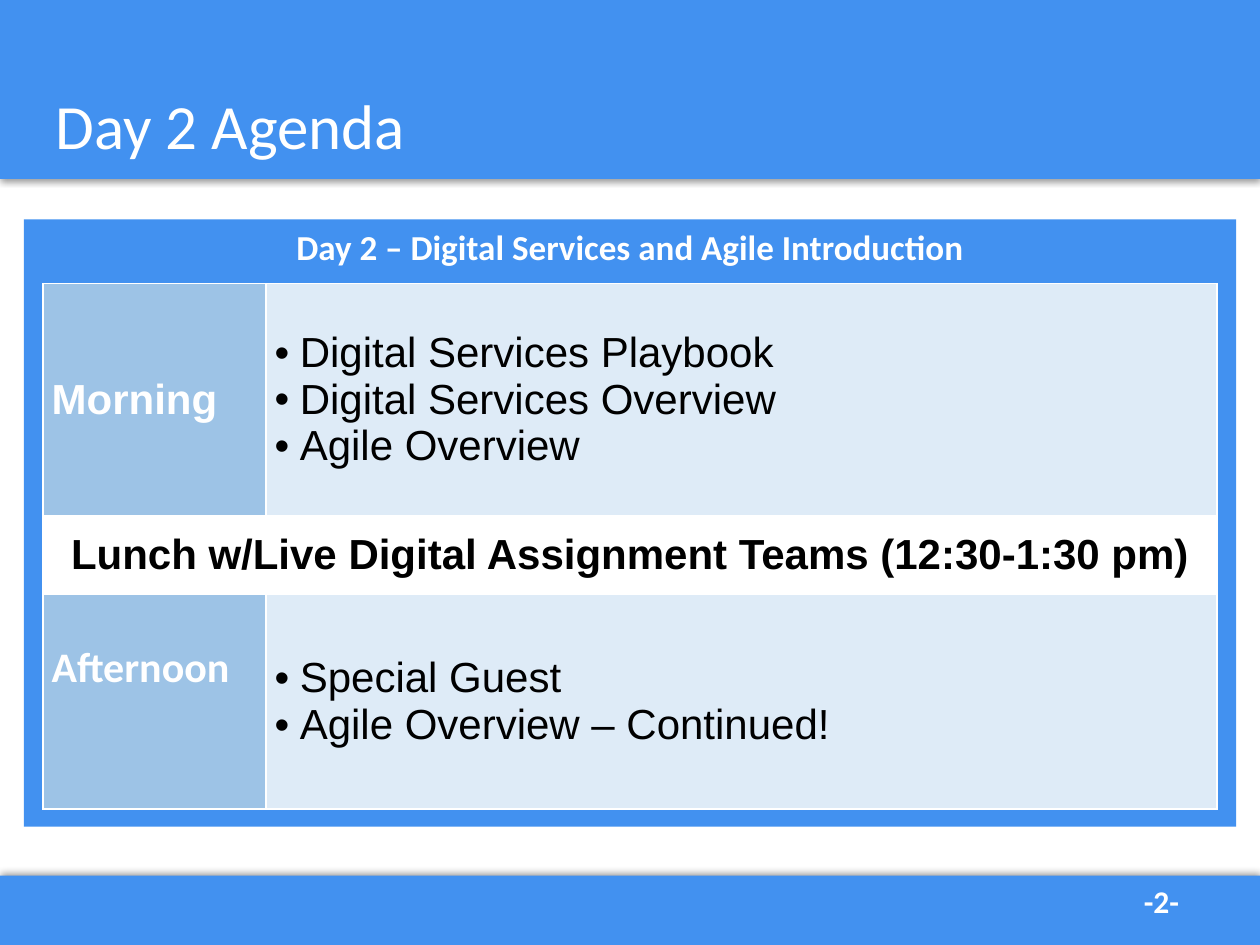
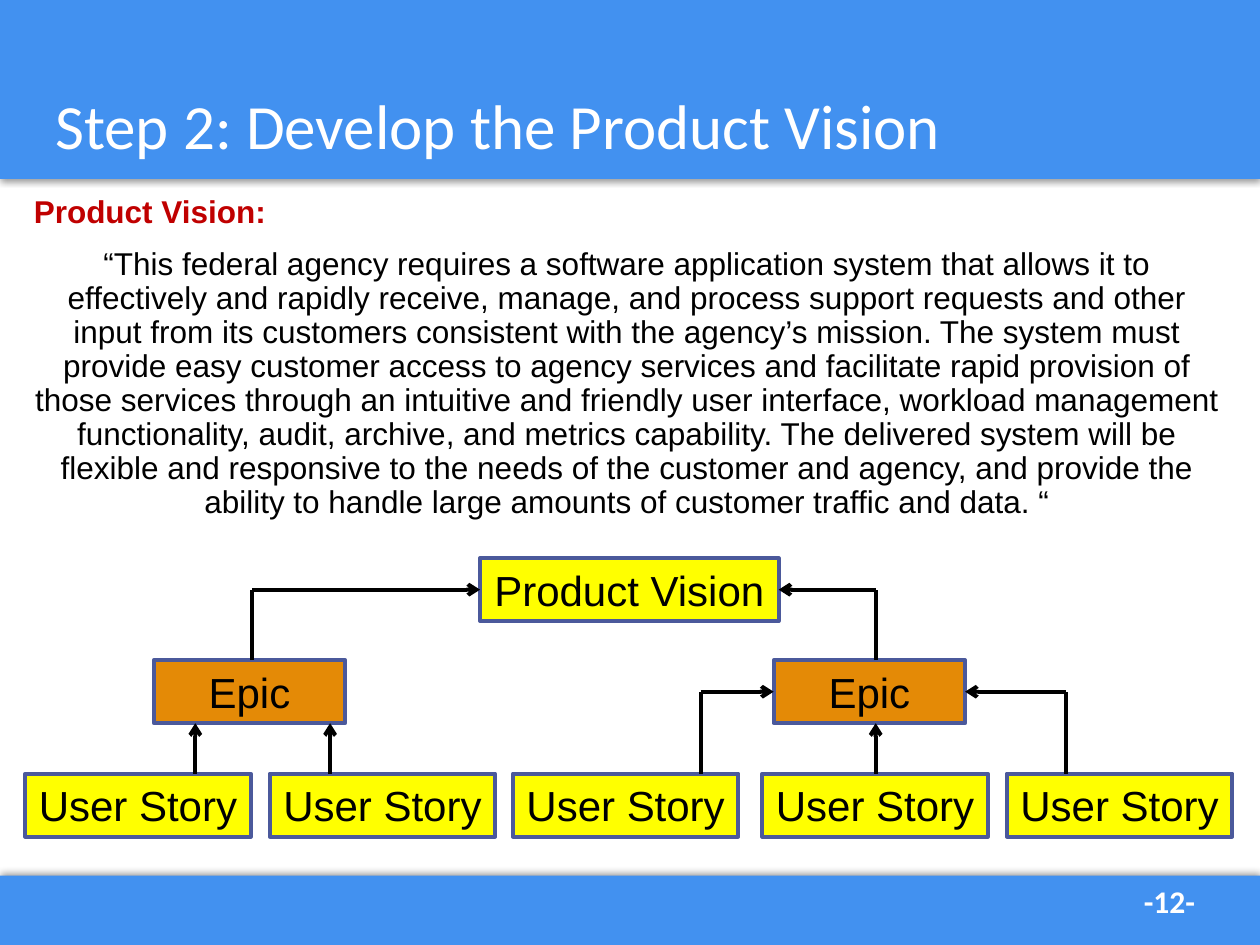
from lxml import etree
from pptx import Presentation
from pptx import util as u
from pptx.dml import color
from pptx.enum import shapes, text
from pptx.oxml import ns

Inches, Pt = u.Inches, u.Pt
ALIGN, ANCHOR, FIT = text.PP_ALIGN, text.MSO_ANCHOR, text.MSO_AUTO_SIZE

BLUE, WHITE, BLACK, RED = "4291F0", "FFFFFF", "000000", "C00000"
LABEL_BLUE, PALE_BLUE = "9DC3E6", "DEEBF7"
YELLOW, ORANGE, OUTLINE = "FFFF00", "E48A06", "4B599B"
HEAD_FONT, BODY_FONT = "Calibri", "Arial"
SLIDE_W, SLIDE_H = 10, 7.5
BOX_H = 0.5

VISION = (
    "“This federal agency requires a software application system that allows it to "
    "effectively and rapidly receive, manage, and process support requests and other "
    "input from its customers consistent with the agency’s mission. The system must "
    "provide easy customer access to agency services and facilitate rapid provision of "
    "those services through an intuitive and friendly user interface, workload management "
    "functionality, audit, archive, and metrics capability. The delivered system will be "
    "flexible and responsive to the needs of the customer and agency, and provide the "
    "ability to handle large amounts of customer traffic and data. “"
)


def rgb(hex_code):
    return color.RGBColor.from_string(hex_code)


def add_xml(parent, tag, **attributes):
    return etree.SubElement(parent, ns.qn(tag), attributes)


def style(paragraph, size, ink, font=BODY_FONT, bold=False, align=ALIGN.LEFT):
    paragraph.alignment = align
    for run in paragraph.runs:
        run.font.size, run.font.name, run.font.bold = Pt(size), font, bold
        run.font.color.rgb = rgb(ink)


def add_rect(slide, box, fill, outline=None):
    rect = slide.shapes.add_shape(shapes.MSO_SHAPE.RECTANGLE, *map(Inches, box))
    rect.shadow.inherit = False
    rect.fill.solid()
    rect.fill.fore_color.rgb = rgb(fill)
    if outline:
        rect.line.color.rgb = rgb(outline)
        rect.line.width = Pt(2.25)
    else:
        rect.line.fill.background()
    return rect


def add_text(slide, box, words, anchor=ANCHOR.TOP):
    frame = slide.shapes.add_textbox(*map(Inches, box)).text_frame
    frame.word_wrap = True
    frame.vertical_anchor = anchor
    frame.text = words
    return frame


def add_band(slide, box, shadow_angle):
    band = add_rect(slide, box, BLUE)
    effects = band._element.spPr.find(ns.qn("a:effectLst"))
    shadow = add_xml(effects, "a:outerShdw", blurRad=str(Pt(4)), dist=str(Pt(1)),
                     dir=str(shadow_angle * 60000), algn="ctr", rotWithShape="0")
    shade = add_xml(shadow, "a:srgbClr", val=BLACK)
    add_xml(shade, "a:alpha", val="40000")


def add_base_slide(deck, title, number):
    """Add a blank slide with the shared bands, title and page number."""
    slide = deck.slides.add_slide(deck.slide_layouts[6])
    add_band(slide, (0, 6.95, SLIDE_W, 0.55), 270)
    add_band(slide, (0, 0, SLIDE_W, 1.42), 90)
    page = add_text(slide, (8.98, 6.95, 0.73, 0.4), f"-{number}-")
    style(page.paragraphs[0], 18, WHITE, HEAD_FONT, bold=True)
    heading = add_text(slide, (0.34, 0.3, 9.31, 1.45), title, ANCHOR.MIDDLE).paragraphs[0]
    style(heading, 36, WHITE, HEAD_FONT)
    heading.line_spacing = 0.9
    return slide


def indent(paragraph, hanging, bullet=None):
    props = paragraph._p.get_or_add_pPr()
    props.set("marL", str(Inches(hanging)))
    props.set("indent", str(-Inches(hanging)))
    if bullet:
        add_xml(props, "a:buFont", typeface=BODY_FONT)
        add_xml(props, "a:buChar", char=bullet)


def fill_cell(cell, words, fill):
    cell.fill.solid()
    cell.fill.fore_color.rgb = rgb(fill)
    cell.vertical_anchor = ANCHOR.MIDDLE
    cell.margin_left = cell.margin_right = Inches(0.07)
    cell.margin_top = cell.margin_bottom = Inches(0.04)
    cell.text_frame.text = words
    return cell.text_frame.paragraphs


def add_borders(cell, ink):
    props = cell._tc.get_or_add_tcPr()
    for position, side in enumerate(("a:lnL", "a:lnR", "a:lnT", "a:lnB")):
        border = add_xml(props, side, w=str(Pt(1)))
        add_xml(add_xml(border, "a:solidFill"), "a:srgbClr", val=ink)
        props.insert(position, border)


def add_session(table, row, label, topics, label_font=BODY_FONT):
    """Fill one table row with a part of the day and its bulleted topics."""
    name_cell, topic_cell = table.cell(row, 0), table.cell(row, 1)
    style(fill_cell(name_cell, label, LABEL_BLUE)[0], 24, WHITE, label_font, bold=True)
    for paragraph in fill_cell(topic_cell, "\n".join(topics), PALE_BLUE):
        style(paragraph, 24, BLACK)
        indent(paragraph, 0.2, "•")


def add_agenda(slide, box):
    left, top, width, height = box
    panel = add_rect(slide, box, BLUE).text_frame
    panel.text = "Day 2 – Digital Services and Agile Introduction"
    panel.vertical_anchor = ANCHOR.TOP
    style(panel.paragraphs[0], 20, WHITE, HEAD_FONT, True, ALIGN.CENTER)

    inset, header = 0.15, 0.51
    columns, rows = (1.77, 7.55), (1.84, 0.63, 1.7)
    table = slide.shapes.add_table(
        len(rows), len(columns), Inches(left + inset), Inches(top + header),
        Inches(width - 2 * inset), Inches(sum(rows))).table
    for column, column_width in zip(table.columns, columns):
        column.width = Inches(column_width)
    for row, row_height in zip(table.rows, rows):
        row.height = Inches(row_height)

    add_session(table, 0, "Morning", (
        "Digital Services Playbook", "Digital Services Overview", "Agile Overview"))
    table.cell(1, 0).merge(table.cell(1, 1))
    lunch = fill_cell(table.cell(1, 0),
                      "Lunch w/Live Digital Assignment Teams (12:30-1:30 pm)", WHITE)[0]
    style(lunch, 24, BLACK, bold=True, align=ALIGN.CENTER)
    indent(lunch, 0.1)
    add_session(table, 2, "Afternoon", (
        "Special Guest", "Agile Overview – Continued!"), HEAD_FONT)
    table.cell(2, 0).margin_bottom = Inches(0.57)
    for cell in table.iter_cells():
        add_borders(cell, WHITE)


def add_vision_text(slide, box):
    caption, statement = add_text(slide, box, "Product Vision:\n" + VISION).paragraphs
    style(caption, 18, RED, bold=True)
    style(statement, 18, BLACK, align=ALIGN.CENTER)
    for paragraph in (caption, statement):
        paragraph.line_spacing = 0.9
        paragraph.space_before = Pt(10)


def add_node(slide, left, top, width, label, fill):
    frame = add_rect(slide, (left, top, width, BOX_H), fill, OUTLINE).text_frame
    frame.text = label
    frame.word_wrap = False
    style(frame.paragraphs[0], 24, BLACK, align=ALIGN.CENTER)


def add_link(slide, *points):
    """Draw straight lines through the points, with an arrowhead at the last one."""
    for start, end in zip(points, points[1:]):
        link = slide.shapes.add_connector(
            shapes.MSO_CONNECTOR.STRAIGHT, *map(Inches, start + end))
        link.line.color.rgb = rgb(BLACK)
        link.line.width = Pt(2.25)
        if end == points[-1]:
            add_xml(link.line._get_or_add_ln(), "a:tailEnd", type="arrow")
        add_xml(link._element.spPr, "a:effectLst")


def add_story_tree(slide, box):
    """Draw user stories leading to epics, and epics to the product vision."""
    left, top, width, height = box
    story_w, epic_w, vision_w = 1.79, 1.52, 2.37
    story_top, epic_top = top + height - BOX_H, top + 0.81
    epic_bottom, epic_mid = epic_top + BOX_H, epic_top + BOX_H / 2
    vision_left, vision_mid = left + 3.61, top + BOX_H / 2
    first_epic, second_epic = left + 1.02, left + 5.94

    for offset in (0, 1.94, 3.87, 5.85, 7.79):
        add_node(slide, left + offset, story_top, story_w, "User Story", YELLOW)
    for epic_left in (first_epic, second_epic):
        add_node(slide, epic_left, epic_top, epic_w, "Epic", ORANGE)
    add_node(slide, vision_left, top, vision_w, "Product Vision", YELLOW)

    for x in (left + 1.35, left + 2.42, left + 6.75):
        add_link(slide, (x, story_top), (x, epic_bottom))
    for x, epic_side in ((left + 5.36, second_epic),
                         (left + 8.26, second_epic + epic_w)):
        add_link(slide, (x, story_top), (x, epic_mid), (epic_side, epic_mid))
    for x, vision_side in ((left + 1.8, vision_left),
                           (left + 6.75, vision_left + vision_w)):
        add_link(slide, (x, epic_top), (x, vision_mid), (vision_side, vision_mid))


def main():
    deck = Presentation()
    deck.slide_width, deck.slide_height = Inches(SLIDE_W), Inches(SLIDE_H)

    agenda = add_base_slide(deck, "Day 2 Agenda", 2)
    add_agenda(agenda, (0.19, 1.74, 9.62, 4.82))

    vision = add_base_slide(deck, "Step 2: Develop the Product Vision", 12)
    add_vision_text(vision, (0.17, 1.51, 9.61, 4.76))
    add_story_tree(vision, (0.2, 4.43, 9.58, 2.21))

    deck.save("out.pptx")


if __name__ == "__main__":
    main()
